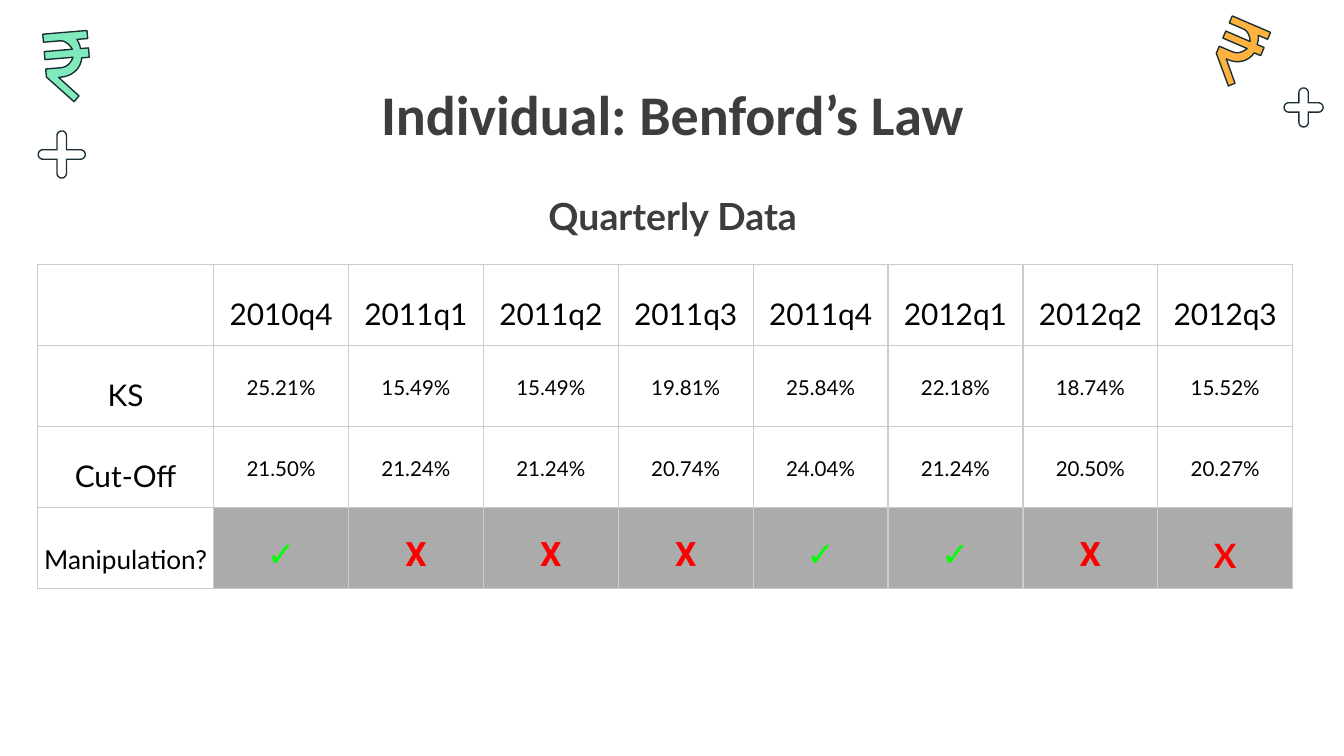
from math import cos, pi, sin

from lxml import etree
from pptx import Presentation
from pptx.dml.color import RGBColor
from pptx.enum.text import MSO_ANCHOR, MSO_AUTO_SIZE, PP_ALIGN
from pptx.oxml.ns import qn
from pptx.util import Inches, Pt

TOP, MIDDLE, BOTTOM = MSO_ANCHOR.TOP, MSO_ANCHOR.MIDDLE, MSO_ANCHOR.BOTTOM
CENTER = PP_ALIGN.CENTER
COLORS = {
    "ink": "1A2E35", "orange": "FFB23E", "mint": "81EABC", "heading": "3D3D3D",
    "text": "000000", "grid": "CCCCCC", "band": "ABABAB", "yes": "00FF00", "no": "FF0000",
}
RGB = {name: RGBColor.from_string(value) for name, value in COLORS.items()}


def write(p, text, size, font, color, bold=False):
    p.alignment = CENTER
    r = p.add_run()
    r.text = text
    r.font.size, r.font.name, r.font.bold = Pt(size), font, bold
    r.font.color.rgb = RGB[color]


def plus_outline(half, radius):
    """Points, in thousandths of an inch, of a plus with round ends."""
    points = []
    for quarter in range(4):
        turn = quarter * pi / 2
        arm = [(half - radius + radius * cos(a), radius * sin(a))
               for a in (pi * (i / 12 - 0.5) for i in range(13))]
        arm.append((radius, radius))
        points += [(1000 * (x * cos(turn) - y * sin(turn)),
                    1000 * (x * sin(turn) + y * cos(turn))) for x, y in arm]
    return points


# A 16:9 slide
prs = Presentation()
prs.slide_width, prs.slide_height = Inches(10), Inches(10 * 9 / 16)
s = prs.slides.add_slide(prs.slide_layouts[1])

# Plus signs: centre x, centre y, half size, half arm width
for cx, cy, half, radius in [(0.46, 1.15, 0.18, 0.04), (9.7, 0.8, 0.15, 0.04)]:
    outer = plus_outline(half, radius)
    inner = plus_outline(half - 0.01, radius - 0.01)
    builder = s.shapes.build_freeform(*outer[0], scale=Inches(1) / 1000)
    builder.add_line_segments(outer[1:], close=True)
    builder.move_to(*inner[0])
    builder.add_line_segments(inner[1:], close=True)
    sp = builder.convert_to_shape(Inches(cx), Inches(cy))
    sp.shadow.inherit = False
    sp.fill.solid()
    sp.fill.fore_color.rgb = RGB["ink"]
    sp.line.fill.background()

# Rupee sign on a 33 by 52 grid; six numbers make a curve, two a straight line
RUPEE = [
    (0, 6), (12, 6), (16, 6, 19, 9, 21, 13), (0, 13), (0, 19), (21, 19),
    (19, 23, 16, 26, 11, 26), (0, 26), (0, 32), (19, 52), (23, 48), (9, 33),
    (11, 33), (19, 33, 26, 28, 27.5, 20), (33, 20), (33, 13), (27, 13),
    (27, 11, 26, 8, 25, 6), (33, 6), (33, 0),
]
outline = [(0, 0)]
for step in RUPEE:
    if len(step) == 2:
        outline.append(step)
        continue
    (x0, y0), (x1, y1, x2, y2, x3, y3) = outline[-1], step
    for t in (i / 8 for i in range(1, 9)):
        a, b, c, d = (1 - t) ** 3, 3 * t * (1 - t) ** 2, 3 * t * t * (1 - t), t ** 3
        outline.append((a * x0 + b * x1 + c * x2 + d * x3,
                        a * y0 + b * y1 + c * y2 + d * y3))

for left, top, width, height, angle, color in [
    (9.06, 0.16, 0.31, 0.49, 23.2, "orange"),
    (0.34, 0.24, 0.33, 0.52, 355.2, "mint"),
]:
    # Finer units keep the curves smooth
    fine = [(x * 100, y * 100) for x, y in outline]
    scale = (Inches(width) / 3300, Inches(height) / 5200)
    builder = s.shapes.build_freeform(*fine[0], scale=scale)
    builder.add_line_segments(fine[1:], close=True)
    sp = builder.convert_to_shape(Inches(left), Inches(top))
    sp.rotation = angle
    sp.shadow.inherit = False
    sp.fill.solid()
    sp.fill.fore_color.rgb = RGB[color]
    sp.line.color.rgb = RGB["ink"]
    sp.line.width = Pt(0.75)

# Title and subtitle
for sp, top, text, size, font in [
    (s.shapes.title, 0.49, "Individual: Benford’s Law", 30, "Calibri"),
    (s.placeholders[1], 1.34, "Quarterly Data", 20, "Lato"),
]:
    sp.left, sp.top = Inches(0.79), Inches(top)
    sp.width, sp.height = Inches(8.43), Inches(0.63)
    tf = sp.text_frame
    tf.word_wrap, tf.auto_size, tf.vertical_anchor = True, MSO_AUTO_SIZE.NONE, TOP
    tf.margin_left = tf.margin_right = tf.margin_top = tf.margin_bottom = Inches(0.1)
    p = tf.paragraphs[0]
    p.space_before = Pt(0)
    pPr = p._p.get_or_add_pPr()
    pPr.set("marL", "0")
    pPr.set("indent", "0")
    etree.SubElement(pPr, qn("a:buNone"))
    write(p, text, size, font, "heading", bold=True)

# Table of quarterly results
ROWS = [
    ["", "2010q4", "2011q1", "2011q2", "2011q3", "2011q4", "2012q1", "2012q2", "2012q3"],
    ["KS", "25.21%", "15.49%", "15.49%", "19.81%", "25.84%", "22.18%", "18.74%", "15.52%"],
    ["Cut-Off", "21.50%", "21.24%", "21.24%", "20.74%", "24.04%", "21.24%", "20.50%", "20.27%"],
    ["Manipulation?", "✓", "X", "X", "X", "✓", "✓", "X", "X"],
]
n_rows, n_cols = len(ROWS), len(ROWS[0])
TABLE_W, TABLE_H, LABEL_W = 9.34, 2.41, 1.31
COL_W = (TABLE_W - LABEL_W) / (n_cols - 1)
frame = s.shapes.add_table(n_rows, n_cols, Inches(0.28), Inches(1.97),
                           Inches(TABLE_W), Inches(TABLE_H))
table = frame.table
table.first_row = table.horz_banding = False
for j, column in enumerate(table.columns):
    column.width = Inches(COL_W if j else LABEL_W)

for i, row in enumerate(ROWS):
    for j, text in enumerate(row):
        cell = table.cell(i, j)
        verdict = i == n_rows - 1 and j > 0
        figure = 0 < i < n_rows - 1 and j > 0
        cell.margin_left = cell.margin_right = Inches(0.03)
        cell.margin_top = cell.margin_bottom = Inches(0.1)
        cell.vertical_anchor = MIDDLE if figure else BOTTOM

        # Borders come before the fill in the cell properties
        tcPr = cell._tc.get_or_add_tcPr()
        for side in ("lnL", "lnR", "lnT", "lnB"):
            ln = etree.SubElement(tcPr, qn(f"a:{side}"), w=str(Pt(0.75)))
            solid = etree.SubElement(ln, qn("a:solidFill"))
            etree.SubElement(solid, qn("a:srgbClr"), val=COLORS["grid"])
        if verdict:
            cell.fill.solid()
            cell.fill.fore_color.rgb = RGB["band"]
        else:
            cell.fill.background()

        if not text:
            continue
        p = cell.text_frame.paragraphs[0]
        p.line_spacing = 1.15
        if verdict:
            font = "Lato" if j == n_cols - 1 else "Roboto"
            write(p, text, 18, font, "yes" if text == "✓" else "no", bold=True)
        else:
            size = 11 if figure else 14 if i == n_rows - 1 else 16
            write(p, text, size, "Lato", "text")

prs.save("out.pptx")
